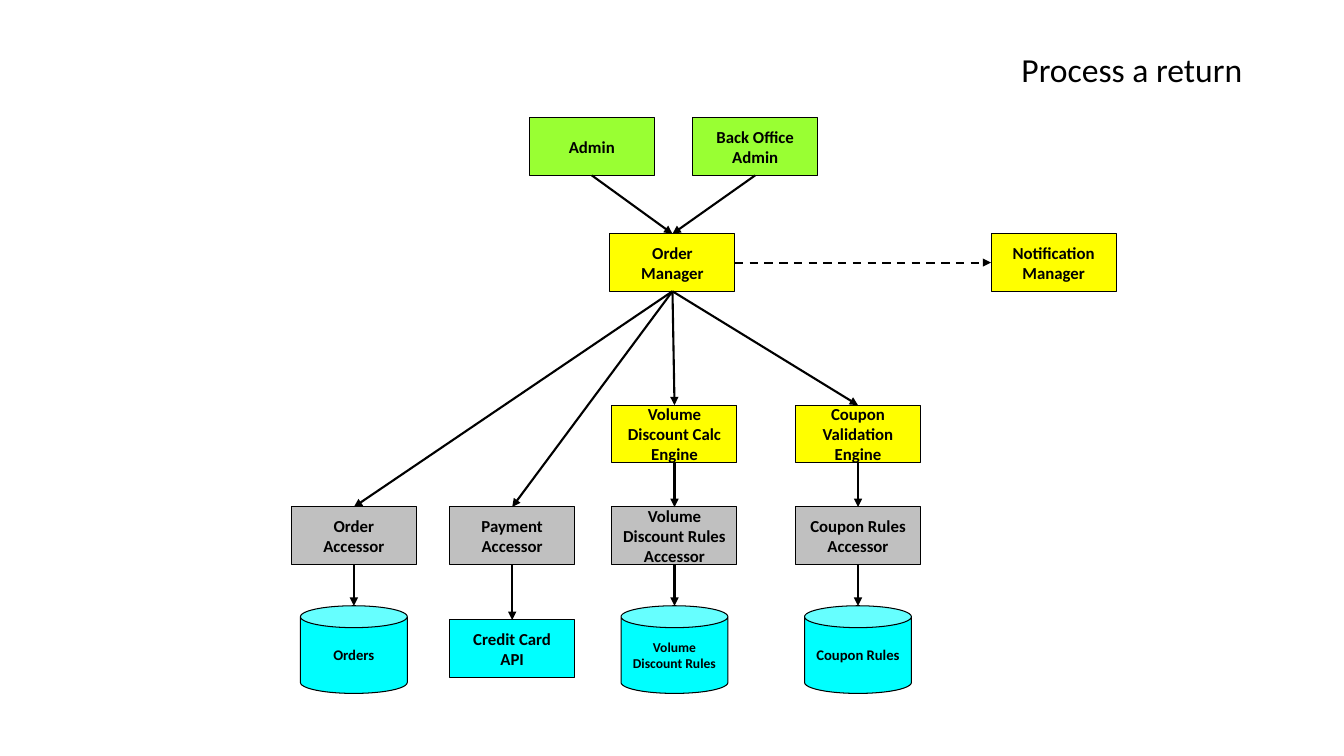
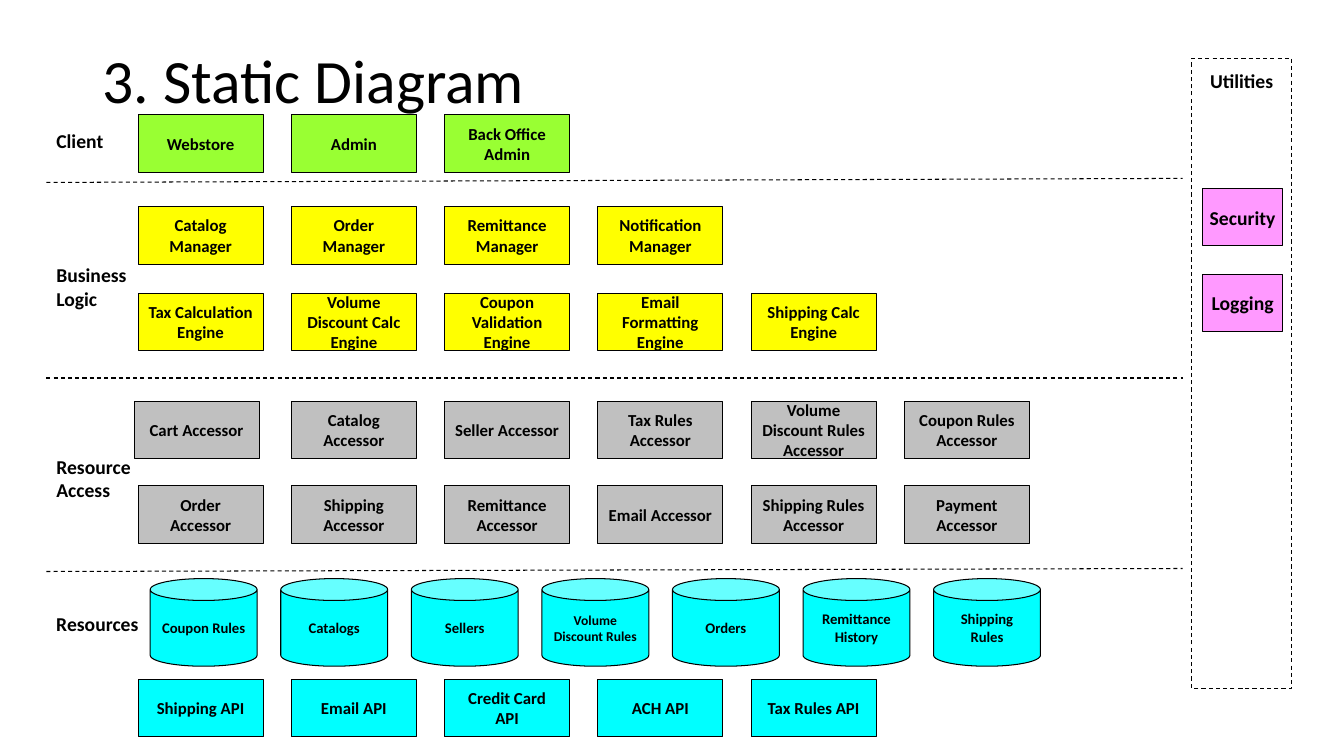
import pptx
import pptx.dml.color
import pptx.enum.dml
import pptx.enum.shapes
import pptx.enum.text
import pptx.oxml
import pptx.oxml.ns
import pptx.util

inch = pptx.util.Inches
color = pptx.dml.color.RGBColor.from_string
align = pptx.enum.text.PP_ALIGN
anchor = pptx.enum.text.MSO_ANCHOR
preset = pptx.enum.shapes.MSO_SHAPE
dash_style = pptx.enum.dml.MSO_LINE.DASH

# Shared look
FONT, BLACK = "Calibri", "000000"
GREEN, YELLOW, GRAY, CYAN, PINK = "99FF33", "FFFF00", "C0C0C0", "00FFFF", "FF99FF"
BOX_WIDTH, BOX_HEIGHT = 1.24, 0.57
CAN_WIDTH, CAN_HEIGHT = 1.06, 0.87
CAN_INSET = (BOX_WIDTH - CAN_WIDTH) / 2


def draw_box(page, place, text, fill=None, size=12, kind=preset.RECTANGLE,
             bold=True, alignment=align.CENTER):
    """Draw a preset shape, or a plain text box if kind is None."""
    place = [inch(length) for length in place]
    if kind is None:
        box = page.shapes.add_textbox(*place)
    else:
        box = page.shapes.add_shape(kind, *place)
        box.shadow.inherit = False
        box.line.color.rgb = color(BLACK)
        box.line.width = pptx.util.Pt(0.75)
        if fill:
            box.fill.solid()
            box.fill.fore_color.rgb = color(fill)
        else:
            box.fill.background()
    frame = box.text_frame
    frame.word_wrap = True
    frame.vertical_anchor = anchor.MIDDLE
    frame.text = text
    for para in frame.paragraphs:
        para.alignment = alignment
        para.font.name = FONT
        para.font.size = pptx.util.Pt(size)
        para.font.bold = bold
        para.font.color.rgb = color(BLACK)
    return box


def draw_line(page, ends, width, dashed=False, arrow=False):
    """Draw a straight black line through ends (left, top, left, top)."""
    line = page.shapes.add_connector(
        pptx.enum.shapes.MSO_CONNECTOR.STRAIGHT, *ends)
    line.line.color.rgb = color(BLACK)
    line.line.width = pptx.util.Pt(width)
    if dashed:
        line.line.dash_style = dash_style.DASH
    properties = line._element.spPr
    if arrow:
        outline = properties.find(pptx.oxml.ns.qn("a:ln"))
        outline.append(pptx.oxml.parse_xml(
            '<a:tailEnd %s type="triangle"/>' % pptx.oxml.ns.nsdecls("a")))
    properties.append(pptx.oxml.parse_xml(
        "<a:effectLst %s/>" % pptx.oxml.ns.nsdecls("a")))
    return line


deck = pptx.Presentation()
deck.slide_width, deck.slide_height = inch(13.33), inch(7.5)

# Pages with their titles
pages = []
for title, height, size, alignment in [
    ("Process a return", 0.63, 24, align.RIGHT),
    ("3. Static Diagram", 0.85, 44, align.LEFT),
]:
    page = deck.slides.add_slide(deck.slide_layouts[6])
    box = draw_box(page, (0.92, 0.4, 11.5, height), title, size=size, kind=None,
                   bold=False, alignment=alignment)
    box.text_frame.paragraphs[0].line_spacing = 0.9
    pages.append(page)
return_page, static_page = pages

# Process a return: boxes by row
boxes = {}
columns = [2.89, 4.46, 6.07, 7.89]
for top, fill, row in [
    (1.17, GREEN, [(5.25, "Admin"), (6.87, "Back Office\nAdmin")]),
    (2.32, YELLOW, [(6.05, "Order Manager"), (9.83, "Notification Manager")]),
    (4.02, YELLOW, zip(columns[2:], ["Volume Discount Calc Engine",
                                     "Coupon Validation Engine"])),
    (5.03, GRAY, zip(columns, ["Order Accessor", "Payment Accessor",
                               "Volume Discount Rules Accessor",
                               "Coupon Rules Accessor"])),
    (6.15, CYAN, [(columns[1], "Credit Card API")]),
]:
    for left, text in row:
        boxes[text] = draw_box(return_page, (left, top, BOX_WIDTH, BOX_HEIGHT),
                               text, fill)

# Process a return: data stores
for column, text, size in [(0, "Orders", 10.5), (2, "Volume Discount Rules", 9.7),
                           (3, "Coupon Rules", 10.5)]:
    place = (columns[column] + CAN_INSET, 6.01, CAN_WIDTH, CAN_HEIGHT)
    boxes[text] = draw_box(return_page, place, text, CYAN, size, preset.CAN)

# Process a return: calls from the bottom of one box to the top of the next
for source, target in [
    ("Admin", "Order Manager"),
    ("Back Office\nAdmin", "Order Manager"),
    ("Order Manager", "Order Accessor"),
    ("Order Manager", "Payment Accessor"),
    ("Order Manager", "Volume Discount Calc Engine"),
    ("Order Manager", "Coupon Validation Engine"),
    ("Volume Discount Calc Engine", "Volume Discount Rules Accessor"),
    ("Coupon Validation Engine", "Coupon Rules Accessor"),
    ("Order Accessor", "Orders"),
    ("Payment Accessor", "Credit Card API"),
    ("Volume Discount Rules Accessor", "Volume Discount Rules"),
    ("Coupon Rules Accessor", "Coupon Rules"),
]:
    start, end = boxes[source], boxes[target]
    line = draw_line(return_page, (start.left + start.width // 2,
                                   start.top + start.height,
                                   end.left + end.width // 2, end.top),
                     1.5, arrow=True)
    line.begin_connect(start, 2)
    if end.auto_shape_type == preset.RECTANGLE:
        line.end_connect(end, 0)

# Process a return: queued call to the notification manager
line = draw_line(return_page, (0, 0, 0, 0), 1.5, dashed=True, arrow=True)
line.begin_connect(boxes["Order Manager"], 3)
line.end_connect(boxes["Notification Manager"], 1)

# Static diagram: layer dividers
for start, end in [(1.81, 1.77), (3.75, 3.75), (5.67, 5.64)]:
    draw_line(static_page, (inch(0.46), inch(start), inch(11.73), inch(end)),
              0.75, dashed=True)

# Static diagram: layer names
for top, width, height, text in [
    (1.23, 0.68, 0.34, "Client"),
    (2.56, 0.91, 0.57, "Business\vLogic"),
    (4.46, 0.95, 0.57, "Resource\vAccess"),
    (6.02, 1.03, 0.34, "Resources"),
]:
    label = draw_box(static_page, (0.46, top, width, height), text, size=14,
                     kind=None, alignment=align.LEFT)
    label.text_frame.word_wrap = False
    label.text_frame.auto_size = pptx.enum.text.MSO_AUTO_SIZE.SHAPE_TO_FIT_TEXT

# Static diagram: utilities
utilities = draw_box(static_page, (11.82, 0.58, 0.99, 6.25), "Utilities", size=14)
utilities.line.dash_style = dash_style.DASH
utilities.text_frame.vertical_anchor = anchor.TOP
utilities.text_frame.margin_top = inch(0.1)
for top, text in [(1.87, "Security"), (2.72, "Logging")]:
    box = draw_box(static_page, (11.93, top, 0.79, BOX_HEIGHT), text, PINK, 14)
    box.text_frame.word_wrap = False

# Static diagram: component grid
GRID_LEFT, GRID_STEP = 1.37, 1.52
for top, fill, row in [
    (1.14, GREEN, ["Webstore", "Admin", "Back Office\nAdmin"]),
    (2.05, YELLOW, ["Catalog Manager", "Order Manager", "Remittance Manager",
                    "Notification Manager"]),
    (2.91, YELLOW, ["Tax Calculation Engine", "Volume Discount Calc Engine",
                    "Coupon Validation Engine", "Email Formatting Engine",
                    "Shipping Calc Engine"]),
    (3.98, GRAY, ["Cart Accessor", "Catalog Accessor", "Seller Accessor",
                  "Tax Rules Accessor", "Volume Discount Rules Accessor",
                  "Coupon Rules Accessor"]),
    (4.82, GRAY, ["Order Accessor", "Shipping Accessor", "Remittance Accessor",
                  "Email Accessor", "Shipping Rules Accessor",
                  "Payment Accessor"]),
    (6.74, CYAN, ["Shipping API", "Email API", "Credit Card API", "ACH API",
                  "Tax Rules API"]),
]:
    for column, text in enumerate(row):
        left = GRID_LEFT + column * GRID_STEP
        if text == "Cart Accessor":
            left -= 0.04  # sits slightly outside the grid
        draw_box(static_page, (left, top, BOX_WIDTH, BOX_HEIGHT), text, fill)

# Static diagram: data stores, evenly spread
stores = ["Coupon Rules", "Catalogs", "Sellers", "Volume Discount Rules", "Orders",
          "Remittance History", "Shipping Rules"]
store_step = (9.26 - 1.49) / (len(stores) - 1)
for column, text in enumerate(stores):
    size = 9.7 if text == "Volume Discount Rules" else 10.5
    draw_box(static_page, (1.49 + column * store_step, 5.74, CAN_WIDTH, CAN_HEIGHT),
             text, CYAN, size, preset.CAN)

deck.save("out.pptx")
